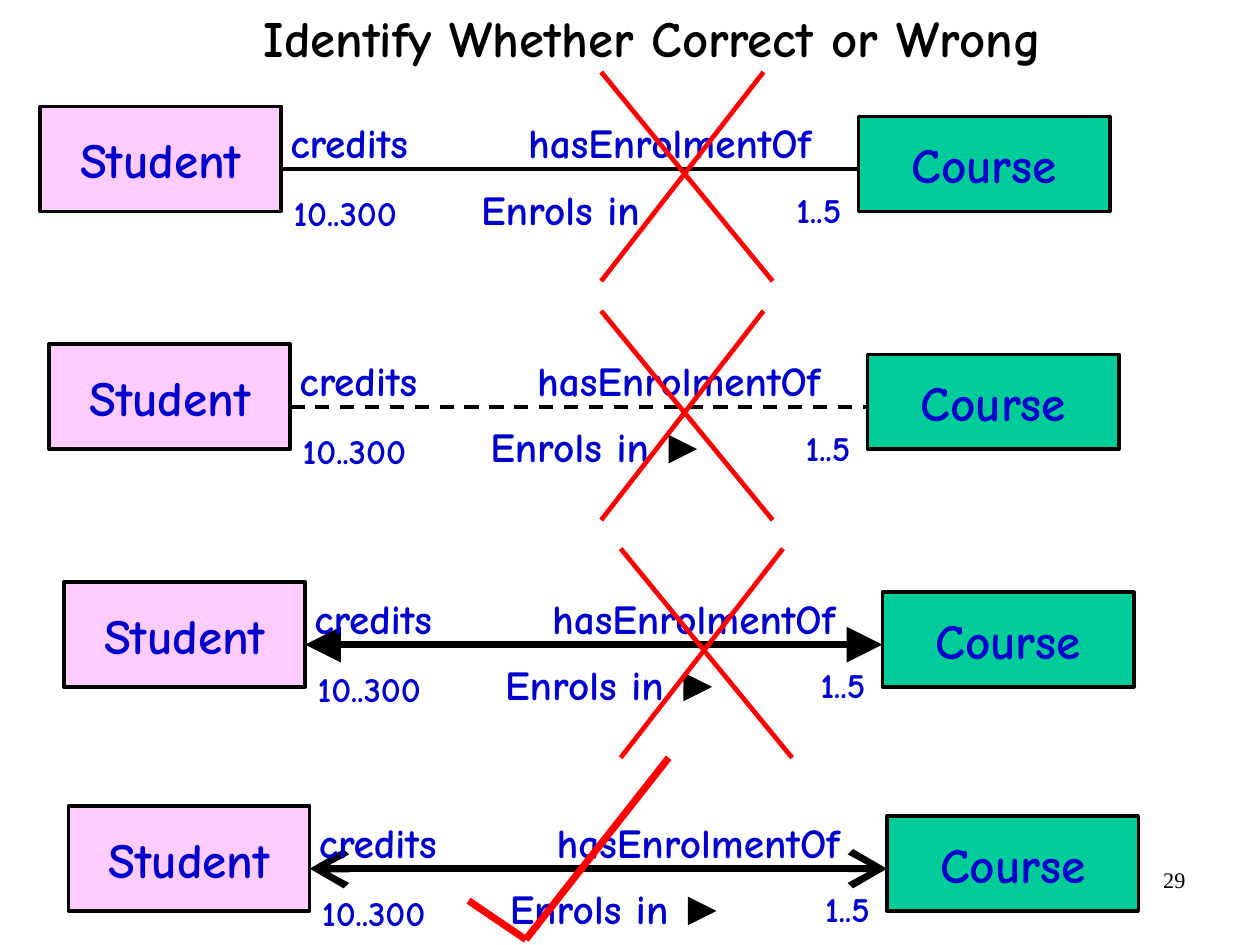
from lxml import etree
from pptx import Presentation
from pptx import util as u
from pptx.dml.color import RGBColor
from pptx.enum import dml, shapes, text
from pptx.oxml.ns import qn

BLACK = RGBColor(0x00, 0x00, 0x00)
BLUE = RGBColor(0x00, 0x00, 0xCC)
PINK = RGBColor(0xFF, 0xCC, 0xFF)
GREEN = RGBColor(0x00, 0xCC, 0x99)
RED = RGBColor(0xFF, 0x00, 0x00)
HAND_FONT = "Comic Neue"
LEFT, CENTER, RIGHT = text.PP_ALIGN.LEFT, text.PP_ALIGN.CENTER, text.PP_ALIGN.RIGHT

ASSOCIATIONS = [
    {"left": 0.35, "top": 0.93, "weight": 2.25, "marker": False},
    {"left": 0.43, "top": 3.01, "weight": 2.25, "dashed": True},
    {"left": 0.56, "top": 5.09, "weight": 4.5, "arrow": "triangle"},
    {"left": 0.6, "top": 7.05, "weight": 4.5, "arrow": "arrow"},
]
LABELS = [
    ("credits", 2.08, 0.04, 1.5, 0.54, 26, LEFT, True),
    ("10..300", 1.93, 0.69, 1.48, 0.48, 22, CENTER, True),
    ("1..5", 6.48, 0.66, 0.67, 0.48, 22, CENTER, False),
    ("hasEnrolmentOf", 4.16, 0.04, 3.08, 0.54, 26, LEFT, True),
    ("Enrols in", 3.75, 0.62, 3.08, 0.54, 26, LEFT, True),
]
CROSSES = [(5.26, 0.63), (5.26, 2.72), (5.43, 4.8)]


def write(shape, words, size, color, align, margins=(0.11, 0.06), wrap=True, font=HAND_FONT, bold=True):
    """Put one formatted line of text into a shape."""
    frame = shape.text_frame
    frame.text = words
    frame.word_wrap = wrap
    frame.margin_left = frame.margin_right = u.Inches(margins[0])
    frame.margin_top = frame.margin_bottom = u.Inches(margins[1])
    para = frame.paragraphs[0]
    para.alignment = align
    span = para.runs[0].font
    span.name, span.size, span.bold = font, u.Pt(size), bold
    span.color.rgb = color
    return frame


def add_label(page, words, left, top, width, height, size, align, wrap):
    """Add a blue label that grows with its text."""
    box = page.shapes.add_textbox(u.Inches(left), u.Inches(top), u.Inches(width), u.Inches(height))
    frame = write(box, words, size, BLUE, align, wrap=wrap)
    frame.auto_size = text.MSO_AUTO_SIZE.SHAPE_TO_FIT_TEXT


def add_class(page, name, left, top, width, height, fill):
    """Add a class rectangle with its name in the middle."""
    box = page.shapes.add_shape(shapes.MSO_SHAPE.RECTANGLE, u.Inches(left), u.Inches(top),
                                u.Inches(width), u.Inches(height))
    box.shadow.inherit = False
    box.fill.solid()
    box.fill.fore_color.rgb = fill
    box.line.color.rgb = BLACK
    box.line.width = u.Pt(2.25)
    frame = write(box, name, 31, BLUE, CENTER, wrap=False)
    frame.vertical_anchor = text.MSO_ANCHOR.MIDDLE


def add_arrowhead(line, end, kind, size):
    """Add an arrowhead to one end of a line format."""
    head = etree.SubElement(line._get_or_add_ln(), qn(f"a:{end}"))
    for key, value in (("type", kind), ("w", size), ("len", size)):
        head.set(key, value)


def add_line(page, start, end, color, weight, dashed=False, arrow=None):
    """Add a straight line, dashed or with arrowheads at both ends if asked."""
    line = page.shapes.add_connector(shapes.MSO_CONNECTOR.STRAIGHT,
                                     *(u.Inches(value) for value in (*start, *end)))
    line.line.color.rgb = color
    line.line.width = u.Pt(weight)
    if dashed:
        line.line.dash_style = dml.MSO_LINE.DASH
    if arrow:
        for side in ("headEnd", "tailEnd"):
            add_arrowhead(line.line, side, arrow, "lg")
    etree.SubElement(line._element.spPr, qn("a:effectLst"))


def add_marker(page, left, top):
    """Add the small black arrow that gives the reading direction."""
    builder = page.shapes.build_freeform(u.Inches(left), u.Inches(top))
    builder.add_line_segments([(u.Inches(left + 0.06), u.Inches(top))], close=False)
    marker = builder.convert_to_shape()
    marker.shadow.inherit = False
    marker.fill.background()
    marker.line.color.rgb = BLACK
    marker.line.width = u.Pt(6)
    add_arrowhead(marker.line, "tailEnd", "triangle", "med")


def add_association(page, left, top, weight, dashed=False, arrow=None, marker=True):
    """Add the two classes, the line between them and its labels."""
    add_class(page, "Student", left, top, 2.11, 0.92, PINK)
    add_class(page, "Course", left + 7.16, top + 0.09, 2.2, 0.83, GREEN)
    add_line(page, (left + 2.11, top + 0.55), (left + 7.16, top + 0.55), BLACK, weight, dashed, arrow)
    if marker:
        add_marker(page, left + 5.61, top + 0.92)
    for words, across, down, *rest in LABELS:
        add_label(page, words, left + across, top + down, *rest)


def add_cross(page, left, top):
    """Add a red cross for a wrong diagram."""
    bottom = top + 1.83
    add_line(page, (left, top), (left + 1.5, bottom), RED, 3)
    add_line(page, (left + 1.42, top), (left, bottom), RED, 3)


def add_tick(page):
    """Add the red tick for the correct diagram."""
    corner = (4.6, 8.22)
    add_line(page, (4.1, 7.88), corner, RED, 4.5)
    add_line(page, corner, (5.85, 6.63), RED, 4.5)


def add_title(page, words):
    """Fill and place the title."""
    title = page.shapes.title
    title.left, title.top = u.Inches(1.01), u.Inches(-0.32)
    title.width, title.height = u.Inches(9.4), u.Inches(1.37)
    frame = write(title, words, 32, BLACK, CENTER, margins=(0, 0))
    frame.auto_size = text.MSO_AUTO_SIZE.NONE
    frame.vertical_anchor = text.MSO_ANCHOR.MIDDLE
    frame.paragraphs[0].line_spacing = 0.88


def add_page_number(page, number):
    """Add the page number at the lower right."""
    box = page.shapes.add_textbox(u.Inches(7.9), u.Inches(7.53), u.Inches(2.57), u.Inches(0.57))
    write(box, number, 14, BLACK, RIGHT, (0.1, 0.05), font="Times New Roman", bold=False)


def main():
    """Build the slide and save it."""
    deck = Presentation()
    deck.slide_width, deck.slide_height = u.Cm(28), u.Cm(21)
    page = deck.slides.add_slide(deck.slide_layouts[5])
    add_title(page, "Identify Whether Correct or Wrong")
    add_page_number(page, "29")
    for association in ASSOCIATIONS:
        add_association(page, **association)
    for left, top in CROSSES:
        add_cross(page, left, top)
    add_tick(page)
    deck.save("out.pptx")


if __name__ == "__main__":
    main()
